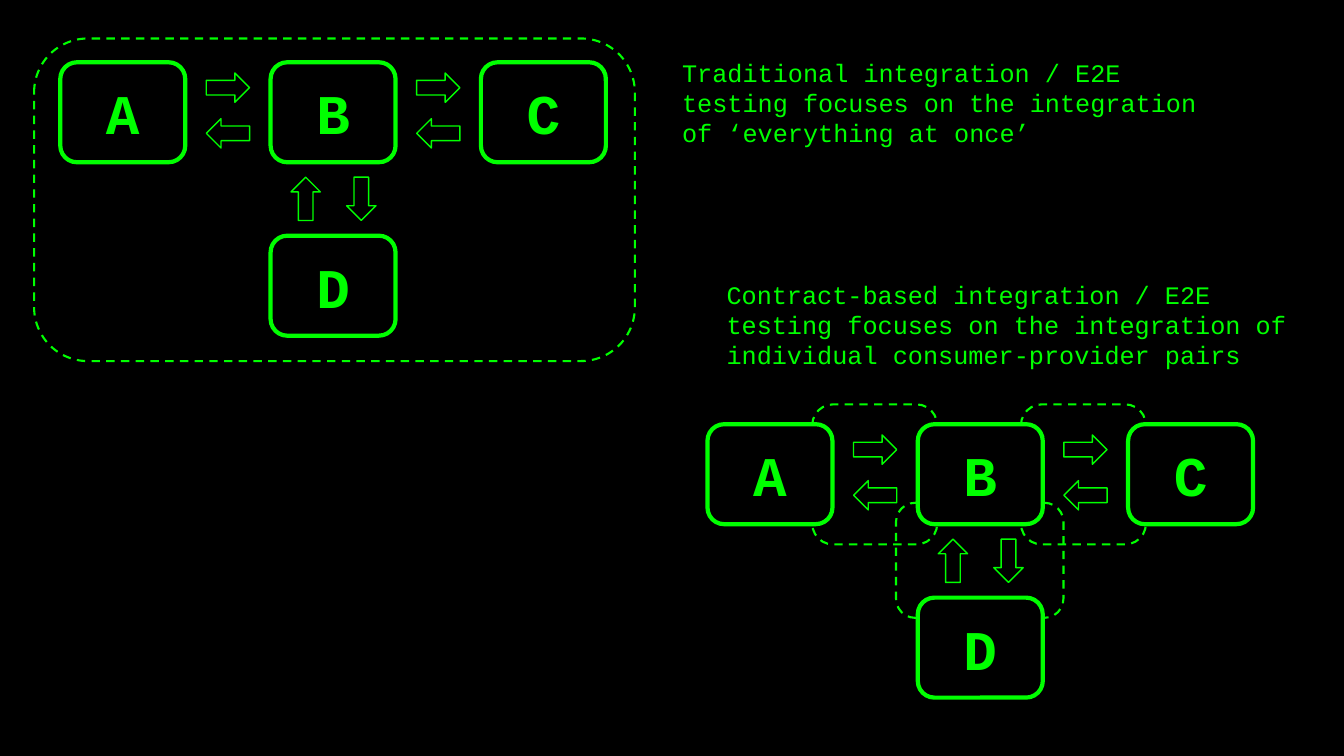
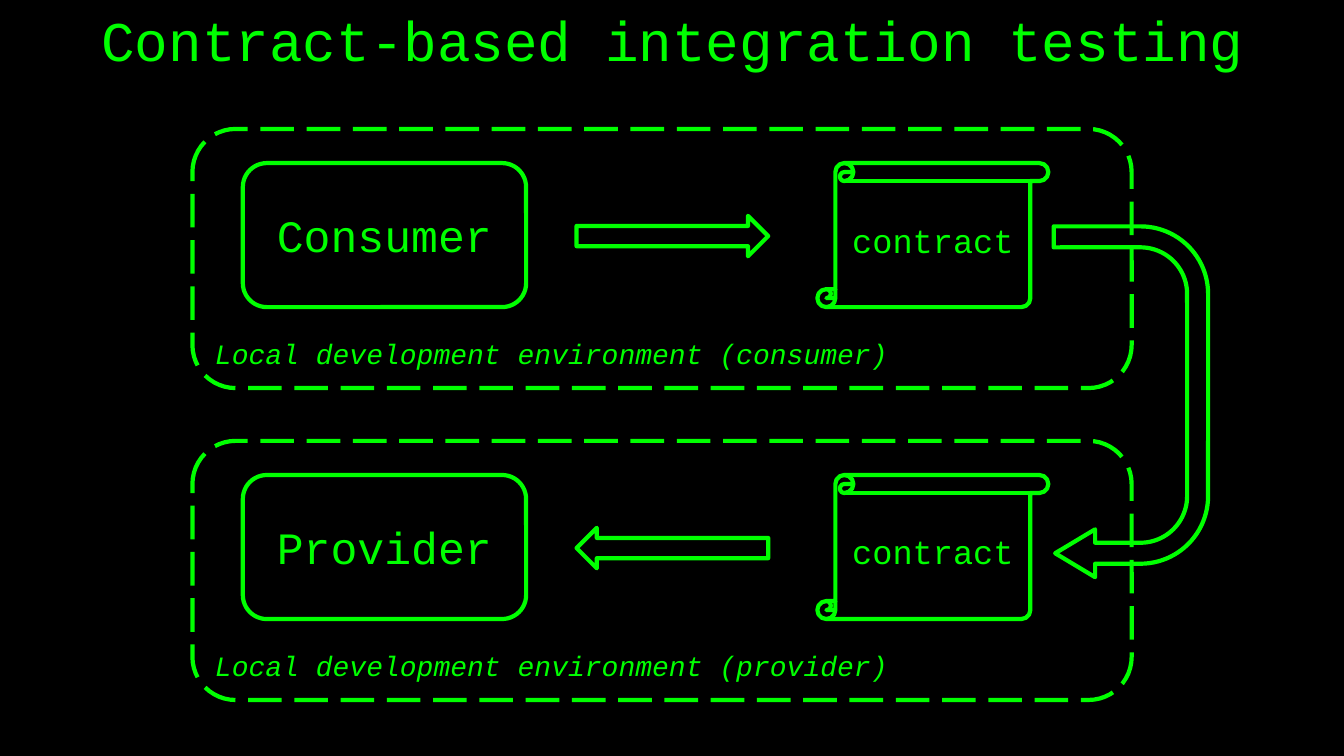
from dataclasses import dataclass

from pptx import Presentation
from pptx.dml.color import RGBColor
from pptx.enum.dml import MSO_LINE
from pptx.enum.shapes import MSO_SHAPE
from pptx.enum.text import MSO_ANCHOR, MSO_AUTO_SIZE, PP_ALIGN
from pptx.util import Cm, Pt

ROUNDED = MSO_SHAPE.ROUNDED_RECTANGLE
ARROW = MSO_SHAPE.RIGHT_ARROW
SCROLL = MSO_SHAPE.VERTICAL_SCROLL
U_TURN = MSO_SHAPE.U_TURN_ARROW
DASH, LONG_DASH = MSO_LINE.DASH, MSO_LINE.LONG_DASH
LEFT, CENTER = PP_ALIGN.LEFT, PP_ALIGN.CENTER
TOP, MIDDLE, BOTTOM = MSO_ANCHOR.TOP, MSO_ANCHOR.MIDDLE, MSO_ANCHOR.BOTTOM
TITLE_ONLY, BLANK = 5, 6


@dataclass(frozen=True)
class Theme:
    green: RGBColor = RGBColor(0, 255, 0)
    black: RGBColor = RGBColor(0, 0, 0)
    font: str = "Courier New"
    title: int = 40
    service: int = 40
    party: int = 32
    contract: int = 24
    environment: int = 20
    body: int = 18
    bold_line: float = 3
    dashed_line: float = 1.5
    thin_line: float = 1


THEME = Theme()
PAGE_WIDTH, PAGE_HEIGHT = 33.87, 19.05

SERVICES = [("A", 0, 0), ("B", 1, 0), ("C", 2, 0), ("D", 1, 1)]
SERVICE_SIZE = (3.15, 2.52)
COLUMN_STEP, ROW_STEP = 5.3, 4.37
CALL_SIZE = (1.09, 0.74)
CALLS = [
    (3.68, 0.27, 0),
    (3.68, 1.42, 180),
    (3.68 + COLUMN_STEP, 0.27, 0),
    (3.68 + COLUMN_STEP, 1.42, 180),
    (5.64, 3.07, 270),
    (7.04, 3.07, 90),
]

DIAGRAMS = [
    {
        "origin": (1.52, 1.57),
        "fill": None,
        "scopes": [(-0.66, -0.6, 15.14, 8.13, 0)],
        "caption": "Traditional integration / E2E testing focuses on the "
                   "integration of ‘everything at once’",
        "caption_frame": (16.94, 1.32, 13.69, 2.57),
    },
    {
        "origin": (17.83, 10.69),
        "fill": THEME.black,
        "scopes": [
            (5.41, 1.32, 2.9, 4.22, 90),
            (7.9, -0.5, 3.15, 3.53, 0),
            (2.64, -0.5, 3.15, 3.53, 0),
        ],
        "caption": "Contract-based integration / E2E testing focuses on the "
                   "integration of individual consumer-provider pairs",
        "caption_frame": (18.06, 6.91, 14.71, 2.57),
    },
]

TITLE = "Contract-based integration testing"
ENVIRONMENTS = [
    ("Consumer", "Local development environment (consumer)", 0),
    ("Provider", "Local development environment (provider)", 180),
]
ENVIRONMENT_TOP, ENVIRONMENT_STEP = 3.25, 7.86
HANDOVER_FRAME = (24.08, 8.18, 8.84, 3.89)
HANDOVER_ADJUSTMENTS = (0.136, 0.155, 0.259, 0.438, 0.991)


def write(shape, text, size, align=CENTER, anchor=MIDDLE, **font_format):
    frame = shape.text_frame
    frame.word_wrap = True
    frame.vertical_anchor = anchor
    frame.text = text
    para = frame.paragraphs[0]
    para.alignment = align
    span = para.runs[0]
    values = {"name": THEME.font, "size": Pt(size), **font_format}
    for name, value in values.items():
        setattr(span.font, name, value)
    span.font.color.rgb = THEME.green
    return para


def outline(page, kind, frame, weight=THEME.bold_line, dash=None, fill=None, turn=0):
    shape = page.shapes.add_shape(kind, *map(Cm, frame))
    shape.shadow.inherit = False
    shape.rotation = turn
    if fill is None:
        shape.fill.background()
    else:
        shape.fill.solid()
        shape.fill.fore_color.rgb = fill
    shape.line.color.rgb = THEME.green
    shape.line.width = Pt(weight)
    if dash is not None:
        shape.line.dash_style = dash
    return shape


def draw_diagram(page, diagram):
    left, top = diagram["origin"]
    for x, y, width, height, turn in diagram["scopes"]:
        outline(page, ROUNDED, (left + x, top + y, width, height),
                THEME.dashed_line, DASH, turn=turn)
    for name, column, row in SERVICES:
        corner = (left + column * COLUMN_STEP, top + row * ROW_STEP)
        service = outline(page, ROUNDED, corner + SERVICE_SIZE, fill=diagram["fill"])
        write(service, name, THEME.service, bold=True)
    for x, y, turn in CALLS:
        outline(page, ARROW, (left + x, top + y) + CALL_SIZE,
                THEME.thin_line, turn=turn)
    caption = page.shapes.add_textbox(*map(Cm, diagram["caption_frame"]))
    write(caption, diagram["caption"], THEME.body, LEFT, TOP)
    caption.text_frame.auto_size = MSO_AUTO_SIZE.SHAPE_TO_FIT_TEXT


def draw_title(page):
    title = page.shapes.title
    frame = {"left": 0, "top": 0, "width": PAGE_WIDTH, "height": 2.21}
    for name, value in frame.items():
        setattr(title, name, Cm(value))
    para = write(title, TITLE, THEME.title)
    para.line_spacing = 0.9
    title.text_frame.auto_size = MSO_AUTO_SIZE.NONE


def draw_environment(page, top, party_name, label, turn):
    party = outline(page, ROUNDED, (6.12, top + 0.86, 7.14, 3.63))
    write(party, party_name, THEME.party)
    outline(page, ARROW, (14.53, top + 2.19, 4.83, 1.02), turn=turn)
    environment = outline(page, ROUNDED, (4.85, top, 23.67, 6.53), dash=LONG_DASH)
    write(environment, label, THEME.environment, LEFT, BOTTOM, italic=True)
    contract = outline(page, SCROLL, (20.6, top + 0.86, 5.82, 3.63))
    write(contract, "contract", THEME.contract)


def build_comparison(deck):
    page = deck.slides.add_slide(deck.slide_layouts[BLANK])
    for diagram in DIAGRAMS:
        draw_diagram(page, diagram)


def build_contract_flow(deck):
    page = deck.slides.add_slide(deck.slide_layouts[TITLE_ONLY])
    draw_title(page)
    for index, environment in enumerate(ENVIRONMENTS):
        draw_environment(page, ENVIRONMENT_TOP + index * ENVIRONMENT_STEP, *environment)
    handover = outline(page, U_TURN, HANDOVER_FRAME, turn=90)
    for index, value in enumerate(HANDOVER_ADJUSTMENTS):
        handover.adjustments[index] = value


def main():
    deck = Presentation()
    deck.slide_width, deck.slide_height = Cm(PAGE_WIDTH), Cm(PAGE_HEIGHT)
    backdrop = deck.slide_master.background.fill
    backdrop.solid()
    backdrop.fore_color.rgb = THEME.black
    build_comparison(deck)
    build_contract_flow(deck)
    deck.save("out.pptx")


if __name__ == "__main__":
    main()
